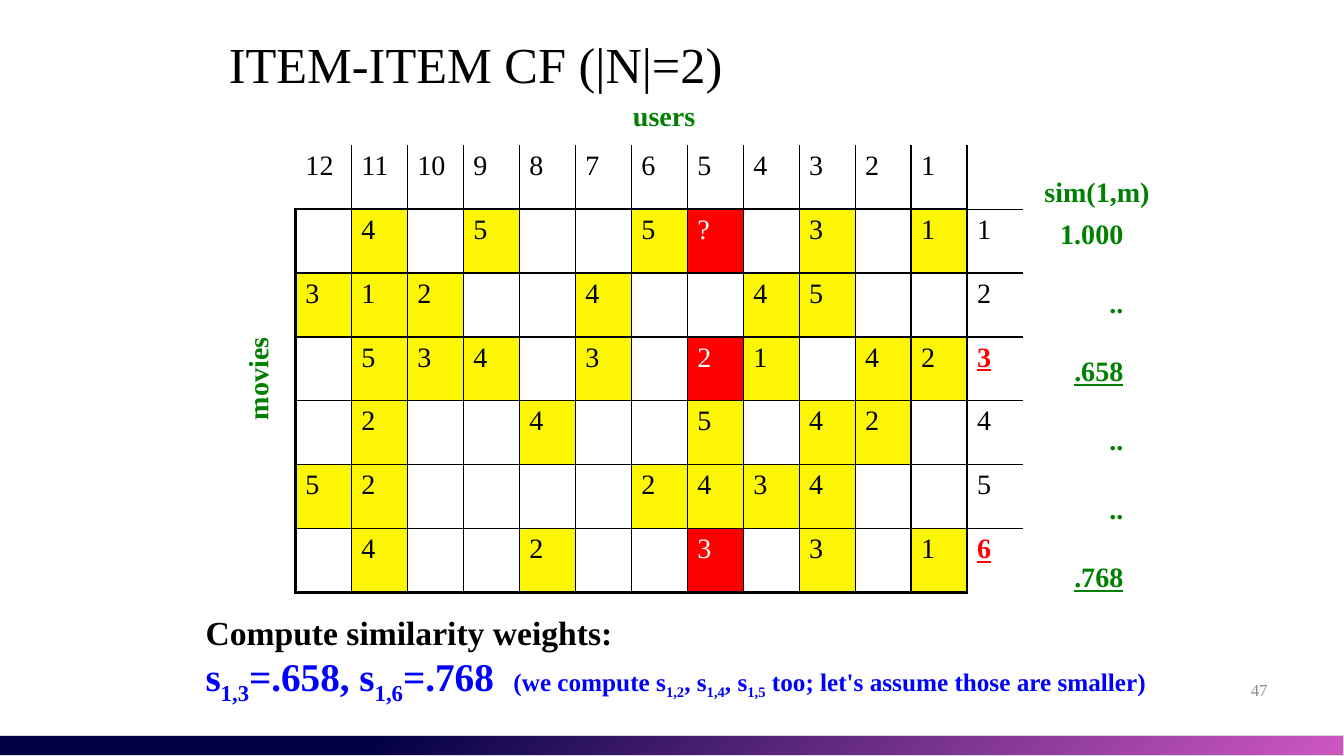
from pptx import Presentation
from pptx.dml.color import RGBColor
from pptx.enum.shapes import MSO_SHAPE as Shape
from pptx.enum.text import MSO_ANCHOR as Anchor, PP_ALIGN as Align
from pptx.oxml.ns import qn
from pptx.util import Inches, Pt
from lxml.etree import SubElement

FONT = "Times New Roman"
BLACK = RGBColor(0x00, 0x00, 0x00)
WHITE = RGBColor(0xFF, 0xFF, 0xFF)
RED = RGBColor(0xFF, 0x00, 0x00)
YELLOW = RGBColor(0xFC, 0xF6, 0x04)
GREEN = RGBColor(0x00, 0x80, 0x00)
BLUE = RGBColor(0x00, 0x00, 0xFF)
GRAY = RGBColor(0x8C, 0x8C, 0x8C)
PALE = RGBColor(0xD8, 0xD8, 0xD8)
NAVY = RGBColor(0x00, 0x00, 0x44)
PINK = RGBColor(0xCE, 0x57, 0xC1)

# Content: one string per movie, one character per user, a dot for no rating
TITLE = "ITEM-ITEM CF (|N|=2)"
USERS = list(range(12, 0, -1))
RATINGS = [
    ".4.5..5?.3.1",
    "312..4..45..",
    ".534.3.21.42",
    ".2..4..5.42.",
    "52....2434..",
    ".4..2..3.3.1",
]
TARGET_USER = 5
NEIGHBOURS = (3, 6)
SIMILARITIES = ["1.000", "..", ".658", "..", "..", ".768"]
HEADLINE = "Compute similarity weights:"
# (text, size, is subscript)
WEIGHTS = [
    ("s", 28, False), ("1,3", 28, True), ("=.658, s", 28, False),
    ("1,6", 28, True), ("=.768  ", 28, False),
    ("(we compute s", 18, False), ("1,2", 18, True), (", s", 18, False),
    ("1,4", 18, True), (", s", 18, False), ("1,5", 18, True),
    (" too; let's assume those are smaller)", 18, False),
]
# (text, left, top, width, rotation)
LABELS = [
    ("users", 6.18, 0.93, 0.83, 0),
    ("movies", 2.04, 3.53, 1.03, 270),
    ("sim(1,m)", 10.26, 1.68, 1.35, 0),
]

THIN, THICK = Pt(1), Pt(2.25)
USER_COUNT, MOVIE_COUNT = len(USERS), len(RATINGS)


def add_span(para, text, size, color, bold=False, underline=False):
    span = para.add_run()
    span.text = text
    font = span.font
    font.name, font.size, font.bold = FONT, Pt(size), bold
    font.color.rgb = color
    if underline:
        font.underline = True
    return span


def add_box(left, top, width, height, wrap=True):
    box = page.shapes.add_textbox(Inches(left), Inches(top), Inches(width), Inches(height))
    box.text_frame.word_wrap = wrap
    return box


def vertical_width(row, edge):
    if edge == USER_COUNT + 1 or (row == 0 and edge == 0):
        return 0
    return THICK if row and edge in (0, USER_COUNT) else THIN


def horizontal_width(edge, column):
    if edge == 0:
        return 0
    if column == USER_COUNT:
        return 0 if edge == MOVIE_COUNT + 1 else THIN
    return THICK if edge in (1, MOVIE_COUNT + 1) else THIN


def set_borders(cell, row, column):
    widths = {
        "a:lnL": vertical_width(row, column),
        "a:lnR": vertical_width(row, column + 1),
        "a:lnT": horizontal_width(row, column),
        "a:lnB": horizontal_width(row + 1, column),
    }
    properties = cell._tc.get_or_add_tcPr()
    for tag, width in widths.items():
        line = SubElement(properties, qn(tag), w=str(int(width)))
        if width:
            solid = SubElement(line, qn("a:solidFill"))
            SubElement(solid, qn("a:srgbClr"), val=str(BLACK))
        else:
            SubElement(line, qn("a:noFill"))


deck = Presentation()
deck.slide_width, deck.slide_height = Inches(13.33), Inches(7.5)
page = deck.slides.add_slide(deck.slide_layouts[5])

# Gradient band at the foot
band = page.shapes.add_shape(Shape.RECTANGLE, 0, Inches(7.3), Inches(13.33), Inches(0.2))
band.shadow.inherit = False
band.fill.gradient()
band.fill.gradient_angle = 315
for stop, position, color in zip(band.fill.gradient_stops, (0.27, 1), (NAVY, PINK)):
    stop.position = position
    stop.color.rgb = color
band.line.color.rgb = PALE
band.line.width = Pt(0.75)

# Title
title = page.shapes.title
title.left, title.top = Inches(2.17), 0
title.width, title.height = Inches(9), Inches(1.25)
title.text_frame.vertical_anchor = Anchor.MIDDLE
para = title.text_frame.paragraphs[0]
para.alignment = Align.LEFT
add_span(para, TITLE, 36, BLACK)

# Page number
box = add_box(9.56, 6.64, 3.11, 0.4)
box.text_frame.vertical_anchor = Anchor.MIDDLE
para = box.text_frame.paragraphs[0]
para.alignment = Align.RIGHT
add_span(para, "47", 12, GRAY)

# Rating matrix: user numbers on top, movie numbers at the right
matrix = [[str(user) for user in USERS] + [""]]
for movie, ratings in enumerate(RATINGS, 1):
    matrix.append([mark.strip(".") for mark in ratings] + [str(movie)])

table = page.shapes.add_table(MOVIE_COUNT + 1, USER_COUNT + 1, Inches(2.93),
                              Inches(1.44), Inches(7.22), Inches(4.44)).table
table.first_row = table.horz_banding = False
target_column = USERS.index(TARGET_USER)
for row, texts in enumerate(matrix):
    for column, text in enumerate(texts):
        cell = table.cell(row, column)
        set_borders(cell, row, column)
        is_rating = row > 0 and column < USER_COUNT and text != ""
        is_target = is_rating and column == target_column and row in (1, *NEIGHBOURS)
        is_neighbour = column == USER_COUNT and row in NEIGHBOURS
        if is_rating:
            cell.fill.solid()
            cell.fill.fore_color.rgb = RED if is_target else YELLOW
        else:
            cell.fill.background()
        if text:
            color = WHITE if is_target else RED if is_neighbour else BLACK
            add_span(cell.text_frame.paragraphs[0], text, 20, color,
                     is_neighbour, is_neighbour)

# Axis labels and similarity heading
for text, left, top, width, rotation in LABELS:
    box = add_box(left, top, width, 0.44, wrap=False)
    box.rotation = rotation
    add_span(box.text_frame.paragraphs[0], text, 20, GREEN, bold=True)

# Similarity of each movie to movie 1
frame = add_box(10.26, 2.1, 0.98, 3.94).text_frame
for movie, similarity in enumerate(SIMILARITIES, 1):
    para = frame.paragraphs[0] if movie == 1 else frame.add_paragraph()
    para.alignment = Align.RIGHT
    if movie > 1:
        para.space_before = Pt(25)
    add_span(para, similarity, 20, GREEN, True, movie in NEIGHBOURS)

# Similarity weights
para = add_box(1.94, 6.02, 11.64 - 0.3, 0.98).text_frame.paragraphs[0]
add_span(para, HEADLINE, 24, BLACK, bold=True)
para.add_line_break()
for text, size, is_subscript in WEIGHTS:
    span = add_span(para, text, size, BLUE, bold=True)
    if is_subscript:
        span._r.get_or_add_rPr().set("baseline", "-25000")

deck.save("out.pptx")
